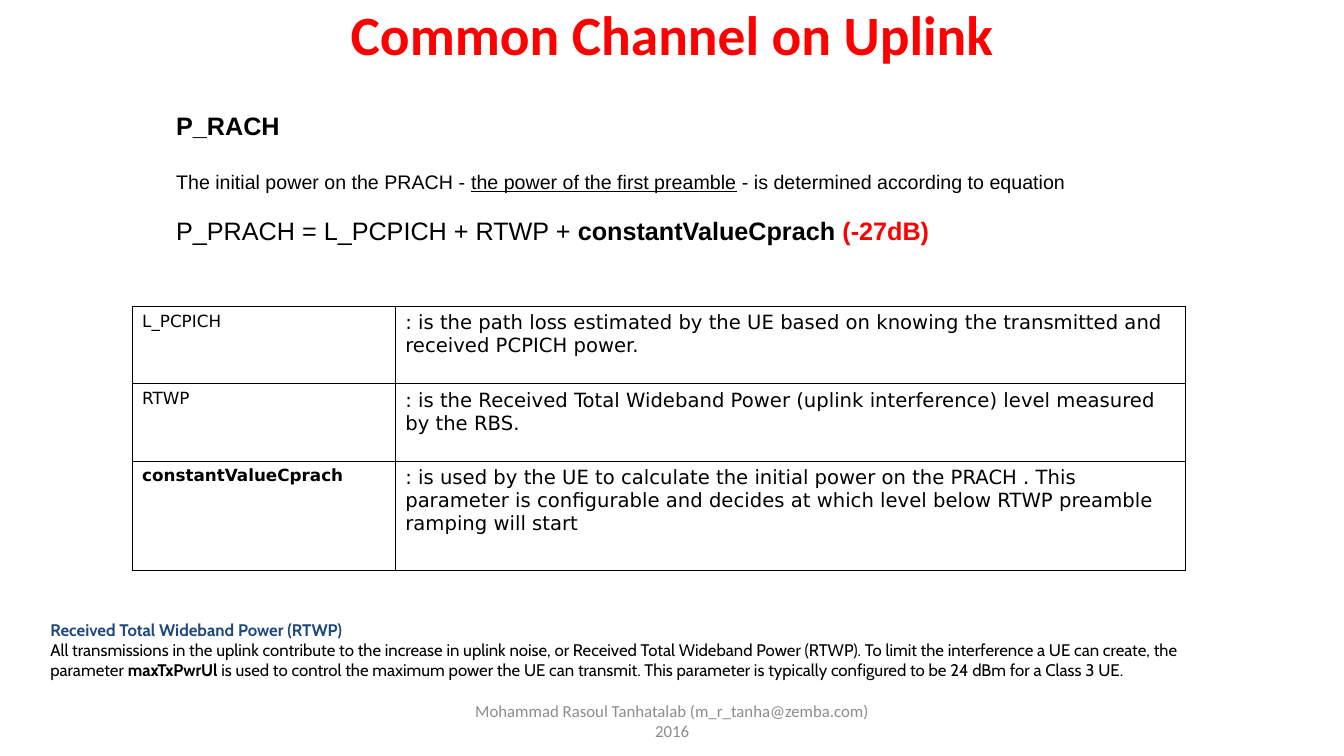
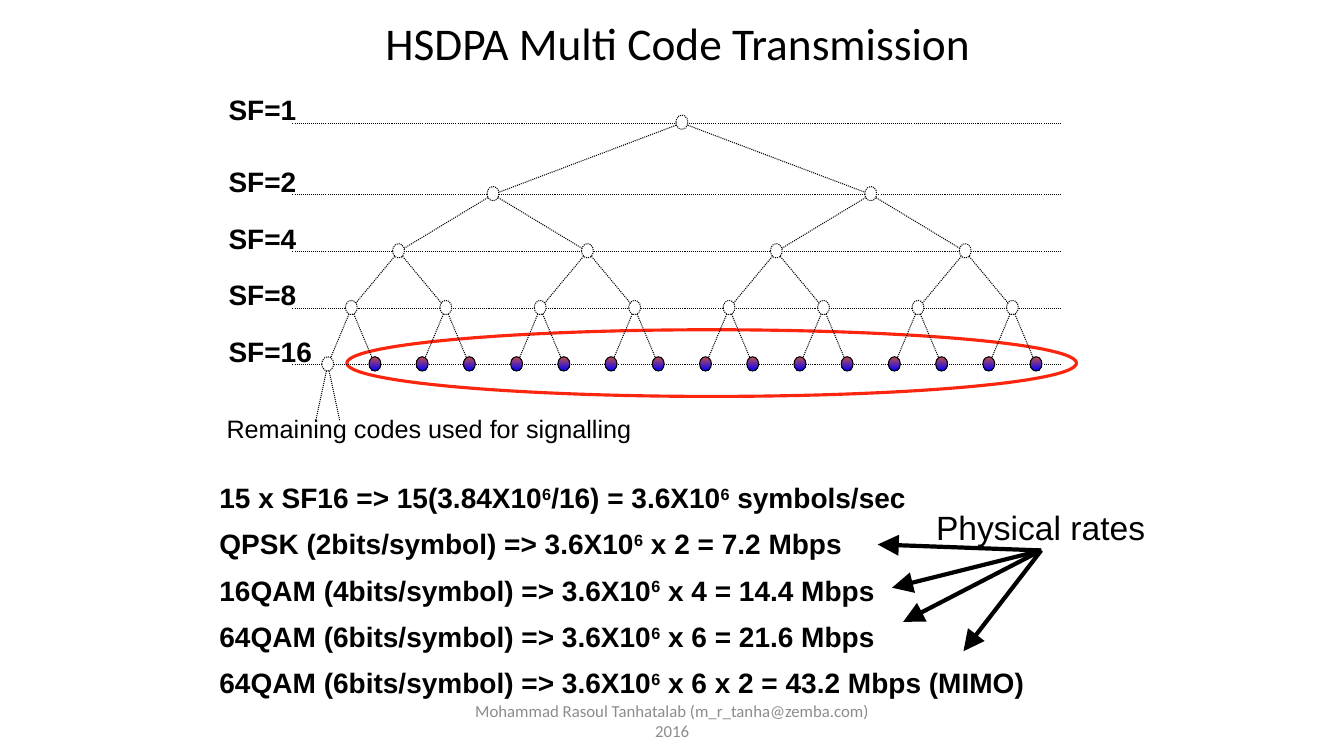
from lxml import etree
from pptx import Presentation
from pptx.dml.color import RGBColor
from pptx.enum.dml import MSO_LINE
from pptx.enum.shapes import MSO_CONNECTOR, MSO_SHAPE
from pptx.enum.text import MSO_ANCHOR, PP_ALIGN
from pptx.oxml.ns import qn
from pptx.util import Cm, Pt

BLACK, WHITE, RED, GREY, NAVY = "000000", "FFFFFF", "FF0000", "8C8C8C", "1F497D"
RING_RED, DOT_TOP, DOT_BOTTOM = "FC250E", "C0504D", "0000FF"
HEADING, BODY, TABLE, NOTE = "Calibri", "Arial", "DejaVu Sans", "Cabin"
FOOTER = "Mohammad Rasoul Tanhatalab (m_r_tanha@zemba.com)\v2016"


def rgb(hex_colour):
    return RGBColor.from_string(hex_colour)


def raise_marked(text):
    """Split text into runs, with the parts between carets as superscript."""
    return [(part, {"raised": index % 2 == 1}) for index, part in enumerate(text.split("^"))]


def format_font(font, size, name=BODY, colour=BLACK, bold=False, underline=False, raised=False):
    font.size, font.name = Pt(size), name
    font.bold, font.underline = bold, underline
    font.color.rgb = rgb(colour)
    if raised:
        font._element.set("baseline", "30000")


def write(frame, paragraphs, space_before=0, align=PP_ALIGN.LEFT, **style):
    """Fill a frame; a paragraph is a string or a list of (text, style changes)."""
    frame.word_wrap = True
    for index, content in enumerate(paragraphs):
        paragraph = frame.add_paragraph() if index else frame.paragraphs[0]
        paragraph.alignment = align
        if index and space_before:
            paragraph.space_before = Pt(space_before)
        if isinstance(content, str):
            paragraph.text = content
            for run in paragraph.runs:
                format_font(run.font, **style)
            continue
        for text, changes in content:
            run = paragraph.add_run()
            run.text = text
            format_font(run.font, **{**style, **changes})


def border_cell(cell):
    properties = cell._tc.get_or_add_tcPr()
    for position, side in enumerate(("lnL", "lnR", "lnT", "lnB")):
        line = etree.Element(qn(f"a:{side}"), w=str(Pt(1)))
        fill = etree.SubElement(line, qn("a:solidFill"))
        etree.SubElement(fill, qn("a:srgbClr"), val=BLACK)
        properties.insert(position, line)


class Deck:
    """Holds the presentation, its shared style and the current slide."""

    def __init__(self):
        self.presentation = Presentation()
        self.presentation.slide_width = Cm(33.87)
        self.presentation.slide_height = Cm(19.05)
        self.slide = None

    def add_slide(self, title, title_box, size, **style):
        self.slide = self.presentation.slides.add_slide(self.presentation.slide_layouts[6])
        centred = {"anchor": MSO_ANCHOR.MIDDLE, "align": PP_ALIGN.CENTER, "name": HEADING}
        self.text(title_box, [title], size=size, **centred, **style)
        self.text((11.58, 17.65, 10.72, 1.02), [FOOTER], size=12, colour=GREY, **centred)

    def text(self, box, paragraphs, anchor=MSO_ANCHOR.TOP, **options):
        frame = self.slide.shapes.add_textbox(*map(Cm, box)).text_frame
        frame.vertical_anchor = anchor
        write(frame, paragraphs, **options)
        return frame

    def table(self, left, top, widths, heights, rows):
        """Draw a two-column table of terms (text, bold) and meanings."""
        frame = self.slide.shapes.add_table(
            len(heights), len(widths), Cm(left), Cm(top), Cm(sum(widths)), Cm(sum(heights)))
        table = frame.table
        for column, width in zip(table.columns, widths):
            column.width = Cm(width)
        for row, height, (term, bold, meaning) in zip(table.rows, heights, rows):
            row.height = Cm(height)
            write(row.cells[0].text_frame, [term], size=12, name=TABLE, bold=bold)
            write(row.cells[1].text_frame, [meaning], size=14, name=TABLE)
            for cell in row.cells:
                cell.fill.background()
                border_cell(cell)

    def line(self, start, end, width=0.75, dotted=True, arrow=False):
        connector = self.slide.shapes.add_connector(
            MSO_CONNECTOR.STRAIGHT, *map(Cm, (*start, *end)))
        connector.line.color.rgb = rgb(BLACK)
        connector.line.width = Pt(width)
        if dotted:
            connector.line.dash_style = MSO_LINE.ROUND_DOT
        if arrow:
            etree.SubElement(connector.line._get_or_add_ln(), qn("a:tailEnd"),
                             type="triangle", w="lg", len="lg")
        etree.SubElement(connector._element.spPr, qn("a:effectLst"))

    def ellipse(self, box, line=BLACK, width=0.75):
        shape = self.slide.shapes.add_shape(MSO_SHAPE.OVAL, *map(Cm, box))
        shape.shadow.inherit = False
        shape.fill.background()
        shape.line.color.rgb = rgb(line)
        shape.line.width = Pt(width)
        return shape

    def node(self, x, y, used=False):
        """Draw a code tree node: shaded when used for data, else open and dotted."""
        shape = self.ellipse((x - 0.15, y - 0.2, 0.3, 0.36))
        if used:
            shape.fill.gradient()
            shape.fill.gradient_angle = 270
            for stop, colour in zip(shape.fill.gradient_stops, (DOT_TOP, DOT_BOTTOM)):
                stop.color.rgb = rgb(colour)
        else:
            shape.fill.solid()
            shape.fill.fore_color.rgb = rgb(WHITE)
            shape.line.dash_style = MSO_LINE.ROUND_DOT

    def code_tree(self, first_leaf, leaf_step, level_tops):
        """Draw the tree of spreading codes, each parent midway over its children."""
        levels = [[first_leaf + leaf_step * leaf for leaf in range(2 ** (len(level_tops) - 1))]]
        while len(levels[0]) > 1:
            below = levels[0]
            levels.insert(0, [(a + b) / 2 for a, b in zip(below[::2], below[1::2])])
        for depth, (xs, y) in enumerate(zip(levels, level_tops)):
            self.line((7.37, y), (26.72, y))
            self.text((5.51, y - 0.89, 2.7, 1.12), [f"SF={2 ** depth}"], size=20, bold=True)
            if depth:
                for index, x in enumerate(xs):
                    self.line((levels[depth - 1][index // 2], level_tops[depth - 1]), (x, y))
        for offset in (-0.3, 0.3):
            self.line((first_leaf, level_tops[-1]), (first_leaf + offset, 10.59))
        for xs, y in zip(levels, level_tops):
            for index, x in enumerate(xs):
                self.node(x, y, used=xs is levels[-1] and index > 0)


def add_uplink_slide(deck):
    deck.add_slide("Common Channel on Uplink", (5.51, 0, 22.86, 1.68), 39.6,
                   colour=RED, bold=True)
    power = deck.text((4.19, 2.6, 24.56, 3.76), [
        [("P_RACH", {"bold": True})],
        [("The initial power on the PRACH - ", {"size": 14}),
         ("the power of the first preamble", {"size": 14, "underline": True}),
         (" - is determined according to equation", {"size": 14})],
        [("P_PRACH = L_PCPICH + RTWP + ", {}),
         ("constantValueCprach ", {"bold": True}),
         ("(-27dB)", {"bold": True, "colour": RED})],
    ], anchor=MSO_ANCHOR.MIDDLE, space_before=16, size=18)
    power.paragraphs[1].space_before = Pt(21)
    deck.table(3.33, 7.72, (6.63, 19.91), (1.95, 1.95, 2.76), [
        ("L_PCPICH", False, ": is the path loss estimated by the UE based on knowing the "
         "transmitted and received PCPICH power."),
        ("RTWP", False, ": is the Received Total Wideband Power (uplink interference) level "
         "measured by the RBS."),
        ("constantValueCprach", True, ": is used by the UE to calculate the initial power on "
         "the PRACH . This parameter is configurable and decides at which level below RTWP "
         "preamble ramping will start"),
    ])
    deck.text((1.02, 15.49, 30.89, 1.8), [
        [("Received Total Wideband Power (RTWP)", {"bold": True, "colour": NAVY})],
        [("All transmissions in the uplink contribute to the increase in uplink noise, or "
          "Received Total Wideband Power (RTWP). To limit the interference a UE can create, "
          "the parameter ", {}),
         ("maxTxPwrUl ", {"bold": True}),
         ("is used to control the maximum power the UE can transmit. This parameter is "
          "typically configured to be 24 dBm for a Class 3 UE.", {})],
    ], size=12, name=NOTE)


def add_multi_code_slide(deck):
    deck.add_slide("HSDPA Multi Code Transmission", (4.52, 0.3, 25.12, 1.55), 32.4)
    deck.text((5.28, 11.99, 24.31, 5.6), [raise_marked(rate) for rate in (
        "15 x SF16 => 15(3.84X10^6^/16) = 3.6X10^6^ symbols/sec",
        "QPSK (2bits/symbol) => 3.6X10^6^ x 2 = 7.2 Mbps",
        "16QAM (4bits/symbol) => 3.6X10^6^ x 4 = 14.4 Mbps",
        "64QAM (6bits/symbol) => 3.6X10^6^ x 6 = 21.6 Mbps",
        "64QAM (6bits/symbol) => 3.6X10^6^ x 6 x 2 = 43.2 Mbps (MIMO)",
    )], space_before=9, size=20, bold=True)
    deck.ellipse((8.74, 8.31, 18.39, 1.68), line=RING_RED, width=2.25)
    deck.code_tree(8.26, 1.19, (3.1, 4.9, 6.34, 7.77, 9.19))
    deck.text((5.46, 10.29, 15.32, 1.02), ["Remaining codes used for signalling"], size=18)
    deck.text((23.34, 12.65, 6.3, 1.27), ["Physical rates"], size=24)
    for tip in ((24.28, 16.41), (22.76, 15.67), (22.48, 14.81), (22.12, 13.72)):
        deck.line((26.24, 13.87), tip, width=3, dotted=False, arrow=True)


def main():
    deck = Deck()
    add_uplink_slide(deck)
    add_multi_code_slide(deck)
    deck.presentation.save("out.pptx")


if __name__ == "__main__":
    main()
